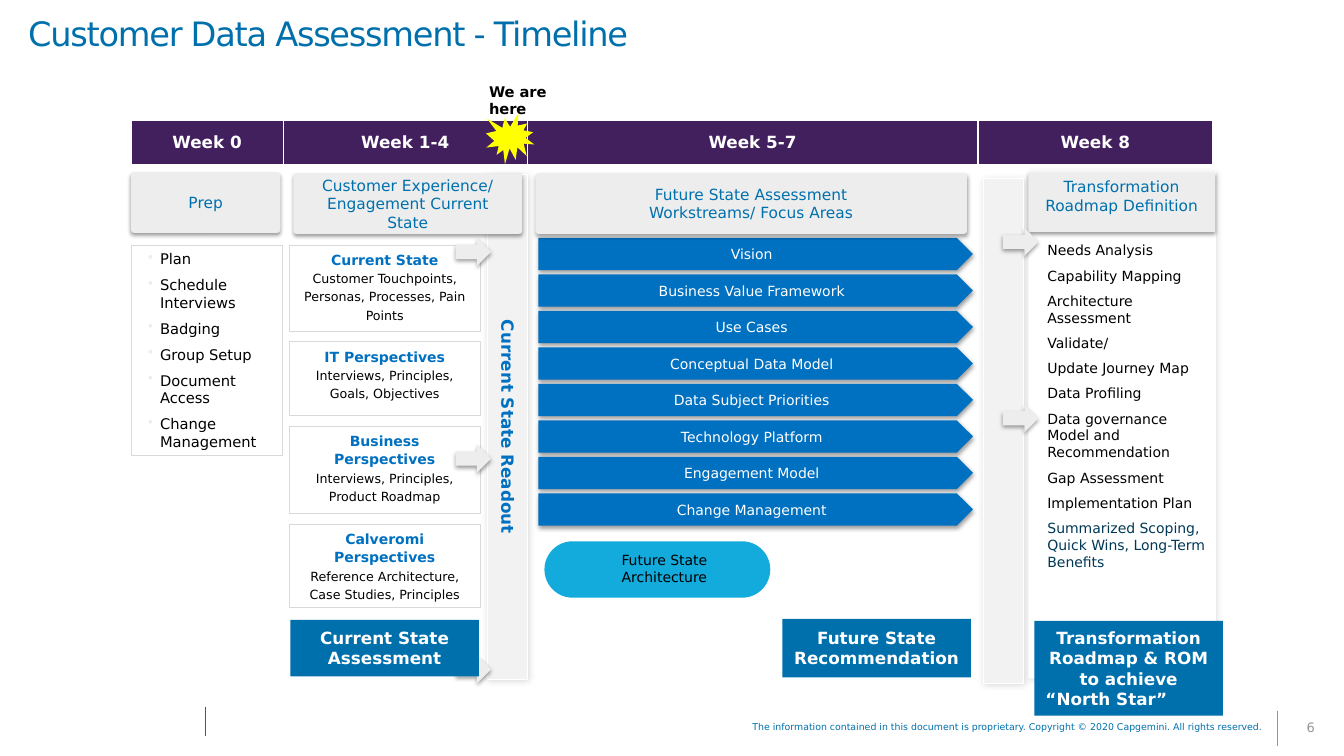
from lxml import etree
from pptx import Presentation, util as u
from pptx.dml.color import RGBColor
from pptx.enum import shapes, text
from pptx.oxml.ns import qn

COLORS = {"blue": "0070AD", "bar": "0070C0", "cyan": "12ABDB", "purple": "421F5D",
          "pale": "EDEDED", "strip": "F2F2F2", "border": "D9D9D9", "gray": "969696",
          "navy": "003856", "yellow": "FFFF00", "white": "FFFFFF", "black": "000000"}
FONT = "DejaVu Sans"
SHAPE = shapes.MSO_SHAPE
ALIGN = text.PP_ALIGN
TOP, MIDDLE = text.MSO_ANCHOR.TOP, text.MSO_ANCHOR.MIDDLE
# opacity %, blur pt, distance pt, direction degrees
SHARP, SOFT, FAINT = (38, 3.1, 1.6, 90), (14, 5, 1, 57), (13, 5, 1, 57)

TITLE = "Customer Data Assessment - Timeline"
FOOTER = ("The information contained in this document\u00a0is proprietary. "
          "Copyright © 2020 Capgemini. All rights reserved.")
WEEKS = [("Week 0", 1.51), ("Week 1-4", 2.42), ("Week 5-7", 4.47), ("Week 8", 2.33)]
HEADERS = [  # lines, box, preset, anchor
    (["Customer Experience/ Engagement Current State"], (2.91, 1.72, 2.27, 0.6),
     SHAPE.ROUNDED_RECTANGLE, MIDDLE),
    (["Future State Assessment", "Workstreams/ Focus Areas"], (5.31, 1.72, 4.28, 0.6),
     SHAPE.ROUNDED_RECTANGLE, MIDDLE),
    (["Prep"], (1.3, 1.71, 1.48, 0.6), SHAPE.ROUNDED_RECTANGLE, MIDDLE),
    (["Transformation Roadmap Definition"], (10.2, 1.71, 1.85, 0.59),
     SHAPE.RECTANGLE, TOP),
]
PREP = ["Plan", "Schedule Interviews", "Badging", "Group Setup", "Document Access",
        "Change Management"]
PERSPECTIVES = [  # heading, detail, top, height
    ("Current State", "Customer Touchpoints, Personas, Processes, Pain Points", 2.43, 0.86),
    ("IT Perspectives", "Interviews, Principles, Goals, Objectives", 3.39, 0.73),
    ("Business Perspectives", "Interviews, Principles, Product Roadmap", 4.23, 0.86),
    ("Calveromi Perspectives", "Reference Architecture, Case Studies, Principles", 5.2, 0.83),
]
WORKSTREAMS = ["Vision", "Business Value Framework", "Use Cases", "Conceptual Data Model",
               "Data Subject Priorities", "Technology Platform", "Engagement Model",
               "Change Management"]
ROADMAP = ["Needs Analysis", "Capability Mapping", "Architecture Assessment", "Validate/",
           "Update Journey Map", "Data Profiling", "Data governance Model and Recommendation",
           "Gap Assessment", "Implementation Plan"]
BENEFITS = "Summarized Scoping, Quick Wins, Long-Term Benefits"
RESULTS = [  # lines, box, side inset
    (["Current State Assessment"], (2.88, 6.15, 1.87, 0.56), 0.05),
    (["Future State Recommendation"], (7.76, 6.14, 1.87, 0.58), 0.05),
    (["Transformation Roadmap & ROM to achieve", ("“North Star”", {"align": ALIGN.LEFT})],
     (10.26, 6.16, 1.87, 0.94), 0.11),
]
ARROWS = [(4.52, 6.5), (4.52, 4.41), (4.52, 2.36), (9.95, 2.26), (9.95, 4.01)]

deck = Presentation()
deck.slide_width, deck.slide_height = u.Inches(13.33), u.Inches(7.5)
page = deck.slides.add_slide(deck.slide_layouts[6])


def rgb(name):
    return RGBColor.from_string(COLORS[name])


def node(parent, tag, **attributes):
    child = etree.SubElement(parent, qn("a:" + tag))
    for name, value in attributes.items():
        child.set(name, str(value))
    return child


def write(frame, lines, size=10, color="black", bold=False, align=ALIGN.CENTER, anchor=TOP,
          inset=(0.1, 0.05, 0.1, 0.05), leading=None, after=0, bullet=None, spacing=None):
    """Fill a text frame; a line is a string or a (string, overrides) pair."""
    frame.word_wrap = True
    frame.vertical_anchor = anchor
    (frame.margin_left, frame.margin_top,
     frame.margin_right, frame.margin_bottom) = map(u.Inches, inset)
    for i, line in enumerate(lines):
        words, own = (line, {}) if isinstance(line, str) else line
        para = frame.paragraphs[0] if i == 0 else frame.add_paragraph()
        para.alignment = own.get("align", align)
        para.space_after = u.Pt(after)
        if leading:
            para.line_spacing = leading
        if bullet:
            props = para._p.get_or_add_pPr()
            props.set("marL", str(u.Inches(0.19)))
            props.set("indent", str(u.Inches(-0.12)))
            node(node(props, "buClr"), "srgbClr", val=COLORS[bullet])
            node(props, "buChar", char="•")
        span = para.add_run()
        span.text = words
        span.font.name = FONT
        span.font.size = u.Pt(own.get("size", size))
        span.font.bold = own.get("bold", bold)
        span.font.color.rgb = rgb(own.get("color", color))
        if spacing:
            span._r.get_or_add_rPr().set("spc", str(spacing))


def add_box(preset, place, fill, line=None, width=0.5, shadow=None, lines=(), **style):
    box = page.shapes.add_shape(preset, *map(u.Inches, place))
    box.shadow.inherit = False
    box.fill.solid()
    box.fill.fore_color.rgb = rgb(fill)
    if line:
        box.line.color.rgb = rgb(line)
        box.line.width = u.Pt(width)
    else:
        box.line.fill.background()
    if shadow:
        opacity, blur, distance, angle = shadow
        effects = box._element.spPr.find(qn("a:effectLst"))
        outer = node(effects, "outerShdw", blurRad=u.Pt(blur), dist=u.Pt(distance),
                     dir=angle * 60000, algn="ctr", rotWithShape=0)
        node(node(outer, "srgbClr", val=COLORS["black"]), "alpha", val=opacity * 1000)
    if lines:
        write(box.text_frame, lines, **style)
    return box


def add_text(place, lines, **style):
    box = page.shapes.add_textbox(*map(u.Inches, place))
    write(box.text_frame, lines, **style)


def add_rule(x, top, bottom, color):
    rule = page.shapes.add_connector(shapes.MSO_CONNECTOR.STRAIGHT,
                                     *map(u.Inches, (x, top, x, bottom)))
    rule.line.color.rgb = rgb(color)
    rule.line.width = u.Pt(0.75)
    node(rule._element.spPr, "effectLst")


def add_arrow(place):
    add_box(SHAPE.RIGHT_ARROW, (*place, 0.35, 0.28), "pale", shadow=SHARP)


def add_weeks():
    table = page.shapes.add_table(1, len(WEEKS), *map(u.Inches, (1.3, 1.19, 10.73, 0.46))).table
    table.rows[0].height = u.Inches(0.46)
    for i, (week, width) in enumerate(WEEKS):
        table.columns[i].width = u.Inches(width)
        cell = table.cell(0, i)
        write(cell.text_frame, [week], size=12, color="white", bold=True)
        cell.vertical_anchor = MIDDLE
        cell.margin_left = cell.margin_right = u.Inches(0.13)
        cell.margin_top = cell.margin_bottom = u.Inches(0.07)
        props = cell._tc.get_or_add_tcPr()
        for side, weight in (("lnL", 1), ("lnR", 1), ("lnT", 1), ("lnB", 3)):
            edge = node(props, side, w=u.Pt(weight))
            node(node(edge, "solidFill"), "srgbClr", val=COLORS["white"])
        cell.fill.solid()
        cell.fill.fore_color.rgb = rgb("purple")


# Page frame
add_rule(12.67, 7.05, 7.4, "gray")
add_text((12.67, 7.05, 0.66, 0.35), ["6"], size=9.3, color="gray", anchor=MIDDLE, leading=0.85)
add_text((5.99, 7.12, 6.64, 0.2), [FOOTER], size=6.7, color="blue", align=ALIGN.RIGHT,
         leading=0.85)
add_rule(2.04, 7.01, 7.3, "blue")
add_text((0, 0, 13.33, 0.72), [TITLE], size=24, color="blue", align=ALIGN.LEFT, anchor=MIDDLE,
         inset=(0.28, 0.03, 0.15, 0.03), leading=0.85, spacing=-90)

# Background strips and week bar
add_box(SHAPE.RECTANGLE, (9.75, 1.77, 0.4, 5.01), "strip", "white", 0.25, SOFT)
readout = add_box(SHAPE.RECTANGLE, (4.83, 1.73, 0.4, 5.01), "strip", "white", 0.25, SOFT,
                  ["Current State Readout"], size=12, color="bar", bold=True, anchor=MIDDLE,
                  inset=(0.2,) * 4, leading=u.Pt(13))
readout.text_frame._txBody.bodyPr.set("vert", "vert")
add_box(SHAPE.RECTANGLE, (10.2, 1.7, 1.86, 5.03), "white", shadow=FAINT)
add_weeks()

# Columns
for heading, detail, top, height in PERSPECTIVES:
    add_box(SHAPE.RECTANGLE, (2.87, top, 1.89, height), "white", "border",
            lines=[(heading, {"size": 10, "color": "bar", "bold": True}), detail],
            size=9, leading=u.Pt(13))
add_box(SHAPE.RECTANGLE, (1.3, 2.43, 1.5, 2.09), "white", "border", lines=PREP, size=10.5,
        align=ALIGN.LEFT, after=6, bullet="pale")
for i, stream in enumerate(WORKSTREAMS):
    add_box(SHAPE.PENTAGON, (5.34, 2.36 + 0.362 * i, 4.31, 0.32), "bar", shadow=SHARP,
            lines=[stream], color="white", anchor=MIDDLE)
pill = add_box(SHAPE.ROUNDED_RECTANGLE, (5.4, 5.37, 2.24, 0.56), "cyan",
               lines=["Future State Architecture"], anchor=MIDDLE,
               inset=(0.31, 0.03, 0.17, 0.05))
pill.adjustments[0] = 0.5
add_arrow(ARROWS[0])
for lines, place, side in RESULTS:
    add_box(SHAPE.RECTANGLE, place, "blue", lines=lines, size=12, color="white", bold=True,
            anchor=MIDDLE, inset=(side, 0.04, side, 0.04))
add_text((10.29, 2.35, 1.76, 3.38), ROADMAP + [(BENEFITS, {"color": "navy"})],
         align=ALIGN.LEFT, after=6)
for lines, place, preset, anchor in HEADERS:
    header = add_box(preset, place, "pale", shadow=SHARP, lines=lines, size=11, color="blue",
                     anchor=anchor)
    if preset == SHAPE.ROUNDED_RECTANGLE:
        header.adjustments[0] = 0.05
for place in ARROWS[1:]:
    add_arrow(place)

# Current position
add_box(SHAPE.EXPLOSION1, (4.82, 1.12, 0.48, 0.51), "yellow")
add_text((4.85, 0.82, 0.65, 0.35), ["We are here"], size=10.5, bold=True, align=ALIGN.LEFT,
         inset=(0,) * 4)

deck.save("out.pptx")
